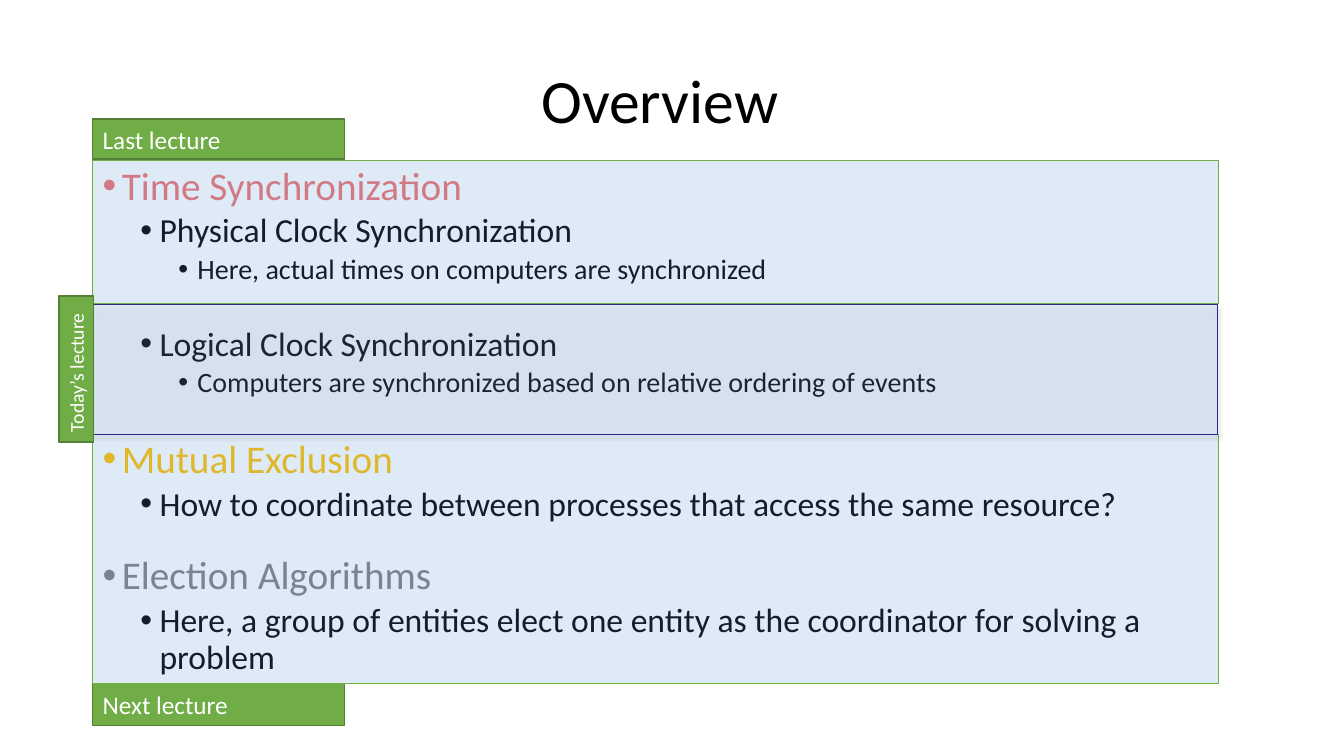
from lxml.etree import SubElement
from pptx import Presentation
from pptx.dml.color import RGBColor
from pptx.enum.shapes import MSO_SHAPE
from pptx.enum.text import MSO_ANCHOR, PP_ALIGN
from pptx.oxml.ns import qn
from pptx.util import Inches, Pt

BLACK, WHITE = "000000", "FFFFFF"
GREEN, DARK_GREEN, BLUE, NAVY = "70AD47", "538035", "5B9BD5", "292989"


def rgb(value):
    return RGBColor.from_string(value)


def add_color(parent, value, alpha):
    """Add a colour with an opacity in percent."""
    color = SubElement(parent, qn("a:srgbClr"), val=value)
    SubElement(color, qn("a:alpha"), val=str(alpha * 1000))


class Deck:
    font = "Calibri"
    sizes = (28, 24, 20)  # by outline level

    def __init__(self, prs):
        self.s = prs.slides.add_slide(prs.slide_layouts[6])

    def run(self, p, text, size, color):
        r = p.add_run()
        r.text = text
        r.font.name, r.font.size = self.font, Pt(size)
        r.font.color.rgb = rgb(color)

    def textbox(self, x, y, w, h):
        tf = self.s.shapes.add_textbox(
            Inches(x), Inches(y), Inches(w), Inches(h)).text_frame
        tf.word_wrap = True
        return tf

    def title(self, text, x, y, w, h):
        tf = self.textbox(x, y, w, h)
        tf.vertical_anchor = MSO_ANCHOR.MIDDLE
        p = tf.paragraphs[0]
        p.alignment, p.line_spacing = PP_ALIGN.CENTER, 0.9
        self.run(p, text, 44, BLACK)

    def outline(self, items, x, y, w, h):
        tf = self.textbox(x, y, w, h)
        for i, (level, text, color, before) in enumerate(items):
            p = tf.paragraphs[0] if i == 0 else tf.add_paragraph()
            p.level, p.line_spacing, p.space_before = level, 0.9, Pt(before)
            pPr = p._p.get_or_add_pPr()
            pPr.set("marL", str(Inches(0.19 + 0.375 * level)))
            pPr.set("indent", str(Inches(-0.19)))
            SubElement(pPr, qn("a:buFont"), typeface="Arial")
            SubElement(pPr, qn("a:buChar"), char="•")
            self.run(p, text, self.sizes[level], color)

    def rect(self, x, y, w, h, fill, line, width):
        sp = self.s.shapes.add_shape(
            MSO_SHAPE.RECTANGLE, Inches(x), Inches(y), Inches(w), Inches(h))
        sp.shadow.inherit = False
        sp.fill.solid()
        sp.fill.fore_color.rgb = rgb(fill)
        sp.line.color.rgb = rgb(line)
        sp.line.width = Pt(width)
        return sp

    def label(self, text, x, y, w, h, size=18, rotation=0):
        sp = self.rect(x, y, w, h, GREEN, DARK_GREEN, 1)
        sp.rotation = rotation
        tf = sp.text_frame
        tf.word_wrap = True
        tf.vertical_anchor = MSO_ANCHOR.MIDDLE
        p = tf.paragraphs[0]
        p.alignment = PP_ALIGN.LEFT
        self.run(p, text, size, WHITE)

    def band(self, y, h, line, width, shadow=False):
        sp = self.rect(LEFT, y, WIDTH, h, BLUE, line, width)
        fill = sp._element.spPr.find(qn("a:solidFill"))
        fill.remove(fill[0])
        add_color(fill, BLUE, 20)
        if shadow:
            effects = sp._element.spPr.find(qn("a:effectLst"))
            outer = SubElement(
                effects, qn("a:outerShdw"), blurRad=str(Pt(3.1)),
                dist=str(Pt(1.6)), dir="5400000", rotWithShape="0")
            add_color(outer, "808080", 38)


LEFT, WIDTH = 0.92, 11.16

# Level, text, colour, space before in points
TOPICS = [
    (0, "Time Synchronization", "EF7273", 7.5),
    (1, "Physical Clock Synchronization", BLACK, 3.8),
    (2, "Here, actual times on computers are synchronized", BLACK, 3.8),
    (1, "Logical Clock Synchronization", BLACK, 29.5),
    (2, "Computers are synchronized based on relative ordering of events",
     BLACK, 3.8),
    (0, "Mutual Exclusion", "FFC000", 28.9),
    (1, "How to coordinate between processes that access the same resource?",
     BLACK, 3.8),
    (0, "Election Algorithms", "808080", 23.4),
    (1, "Here, a group of entities elect one entity as the coordinator "
        "for solving a problem", BLACK, 3.8),
]


def main():
    prs = Presentation()
    prs.slide_width, prs.slide_height = Inches(13.33), Inches(7.5)
    deck = Deck(prs)

    # Title and outline
    deck.title("Overview", 1.92, 0.3, 9.25, 1.45)
    deck.outline(TOPICS, LEFT, 1.6, WIDTH, 5.75)

    # Last and next lecture labels
    deck.label("Last lecture", LEFT, 1.18, 2.5, 0.4)
    deck.label("Next lecture", LEFT, 6.78, 2.5, 0.42)

    # Tinted bands: next, last and today's lecture
    deck.band(4.31, 2.47, GREEN, 0.5)
    deck.band(1.59, 1.42, GREEN, 0.5)
    deck.band(3.02, 1.29, NAVY, 0.75, shadow=True)

    # Upright label
    deck.label("Today’s lecture", 0.03, 3.49, 1.45, 0.34, 14, 270)

    prs.save("out.pptx")


if __name__ == "__main__":
    main()
